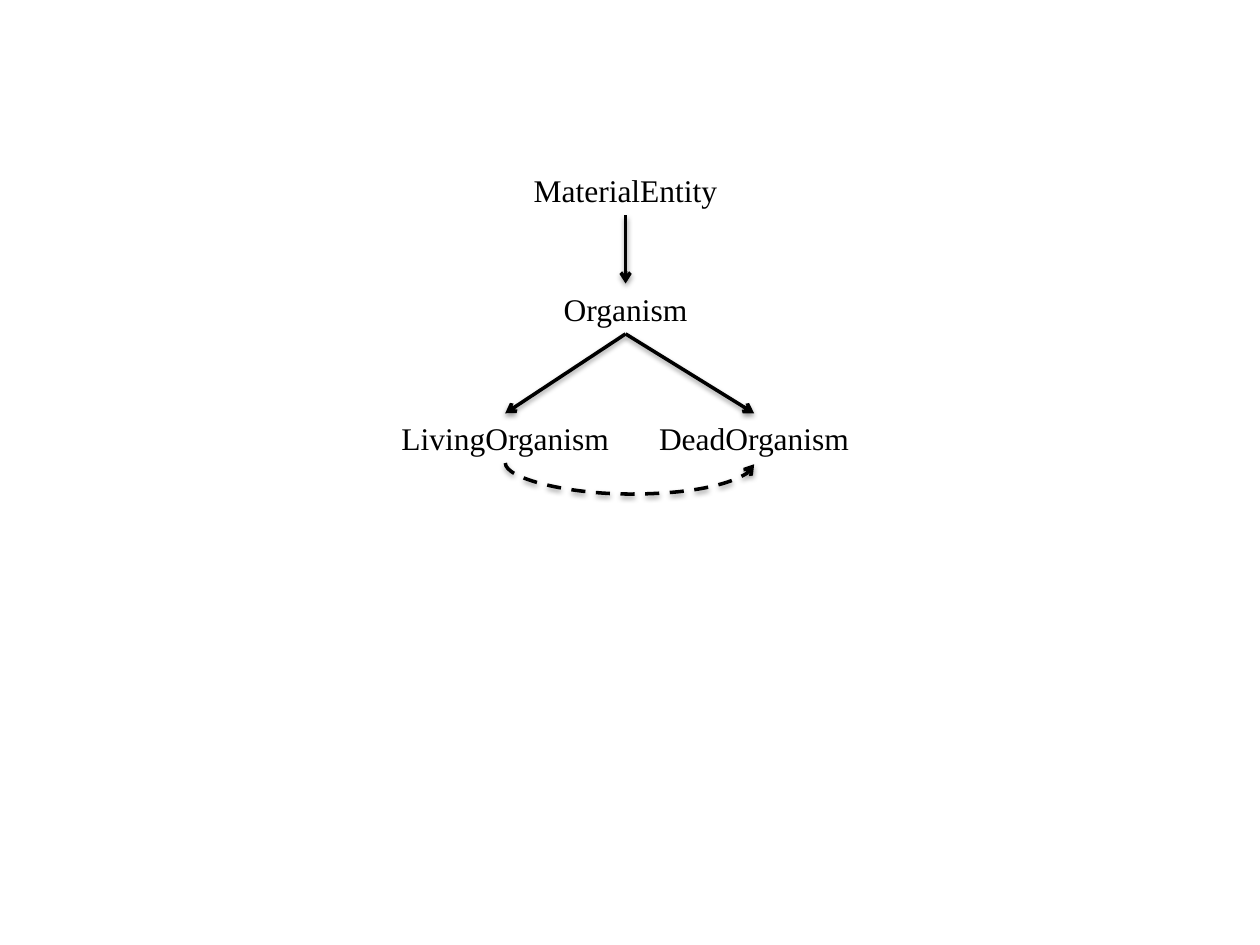
from dataclasses import dataclass

from lxml.etree import SubElement
from pptx import Presentation
from pptx.dml.color import RGBColor
from pptx.enum.dml import MSO_LINE
from pptx.enum.shapes import MSO_CONNECTOR
from pptx.enum.text import MSO_AUTO_SIZE, PP_ALIGN
from pptx.oxml import parse_xml
from pptx.oxml.ns import nsdecls, qn
from pptx.util import Inches, Pt

TOP, BOTTOM = 0, 2  # connection sites of a rectangle


@dataclass(frozen=True)
class Theme:
    ink: RGBColor = RGBColor(0, 0, 0)
    font: str = "Times New Roman"
    text_size: int = 18
    line_width: int = 2


SHADOW = f"""<a:effectLst {nsdecls('a')}>
  <a:outerShdw blurRad="{Pt(3.1)}" dist="{Pt(1.6)}" dir="5400000" rotWithShape="0">
    <a:srgbClr val="000000"><a:alpha val="38000"/></a:srgbClr>
  </a:outerShdw>
</a:effectLst>"""


class Diagram:
    """Draws class labels and the arrows between them on one slide."""

    def __init__(self, page, theme):
        self.page = page
        self.theme = theme

    def label(self, text, left, top, width, height=0.4):
        box = self.page.shapes.add_textbox(
            Inches(left), Inches(top), Inches(width), Inches(height))
        frame = box.text_frame
        frame.word_wrap = True
        frame.auto_size = MSO_AUTO_SIZE.SHAPE_TO_FIT_TEXT
        para = frame.paragraphs[0]
        para.alignment = PP_ALIGN.CENTER
        span = para.add_run()
        span.text = text
        formats = {"name": self.theme.font, "size": Pt(self.theme.text_size)}
        for name, value in formats.items():
            setattr(span.font, name, value)
        span.font.color.rgb = self.theme.ink
        return box

    def finish_arrow(self, connector, dash=None):
        line = connector.line
        line.fill.solid()
        line.fill.fore_color.rgb = self.theme.ink
        formats = {"width": Pt(self.theme.line_width), "dash_style": dash}
        for name, value in formats.items():
            setattr(line, name, value)
        properties = connector._element.spPr
        SubElement(properties.find(qn("a:ln")), qn("a:tailEnd"), type="arrow")
        properties.append(parse_xml(SHADOW))

    def subclass_arrow(self, parent, child):
        connector = self.page.shapes.add_connector(
            MSO_CONNECTOR.STRAIGHT, 0, 0, 0, 0)
        connector.begin_connect(parent, BOTTOM)
        connector.end_connect(child, TOP)
        self.finish_arrow(connector)

    def transition_arrow(self, start, end, sag):
        """Dashed curve that hangs below two labels on the same row."""
        first, last = (box.left + box.width // 2 for box in (start, end))
        middle, level = (first + last) // 2, start.top + start.height
        half, depth = (last - first) // 2, Inches(0.01)
        # A thin upright curve, turned a quarter to lie between the labels
        connector = self.page.shapes.add_connector(
            MSO_CONNECTOR.CURVE, middle - depth // 2, level - half,
            middle + depth // 2, level + half)
        properties = connector._element.spPr
        frame = properties.find(qn("a:xfrm"))
        frame.set("rot", "16200000")
        frame.set("flipH", "1")
        adjustments = properties.find(qn("a:prstGeom")).get_or_add_avLst()
        bulge = round(Inches(sag) / depth * 100000)
        SubElement(adjustments, qn("a:gd"), name="adj1", fmla=f"val {bulge}")
        self.finish_arrow(connector, MSO_LINE.DASH)


def main():
    deck = Presentation()
    deck.slide_width, deck.slide_height = Inches(10), Inches(7.5)
    page = deck.slides.add_slide(deck.slide_layouts[6])
    diagram = Diagram(page, Theme())

    # Classes
    entity = diagram.label("MaterialEntity", 4.06, 1.31, 1.81)
    organism = diagram.label("Organism", 4.06, 2.25, 1.81)
    living = diagram.label("LivingOrganism", 2.87, 3.28, 2.28)
    dead = diagram.label("DeadOrganism", 5, 3.28, 1.97)

    # Hierarchy
    for parent, child in ((entity, organism), (organism, living), (organism, dead)):
        diagram.subclass_arrow(parent, child)

    # Change from living to dead
    diagram.transition_arrow(living, dead, sag=0.25)

    deck.save("out.pptx")


if __name__ == "__main__":
    main()
